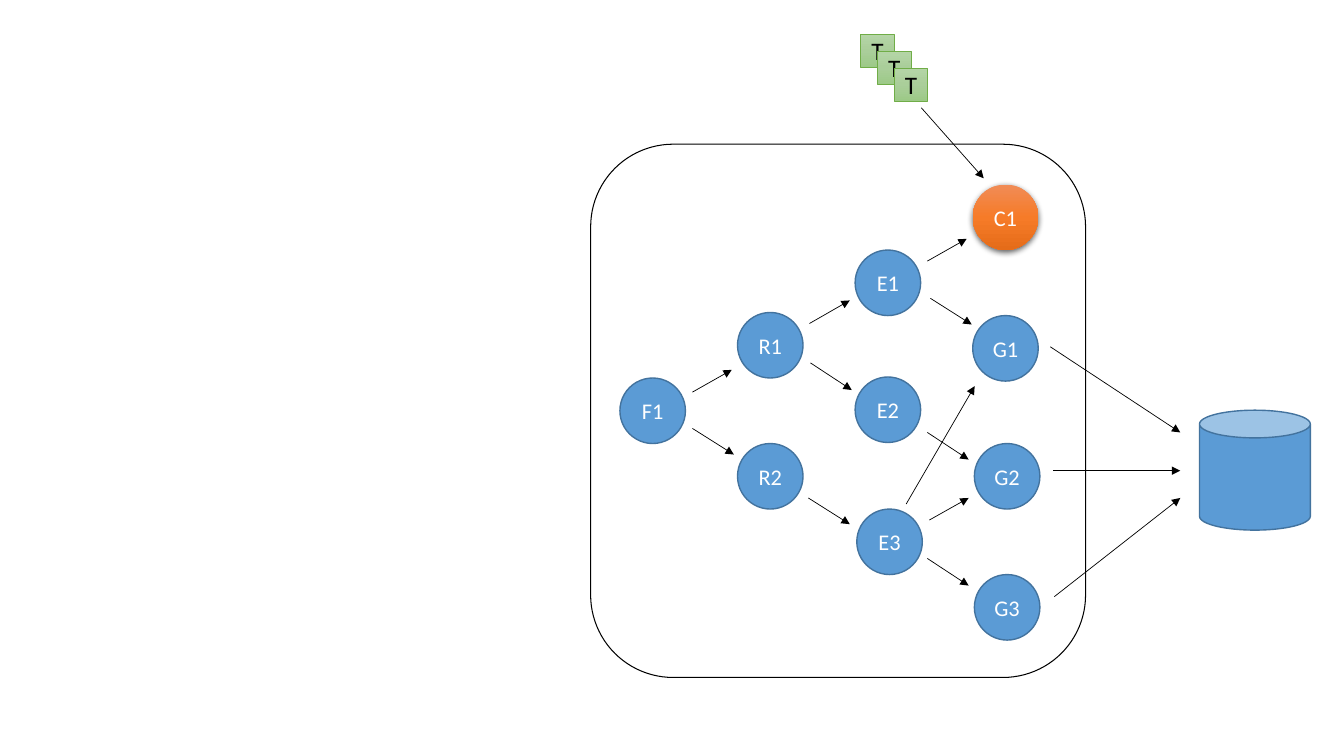
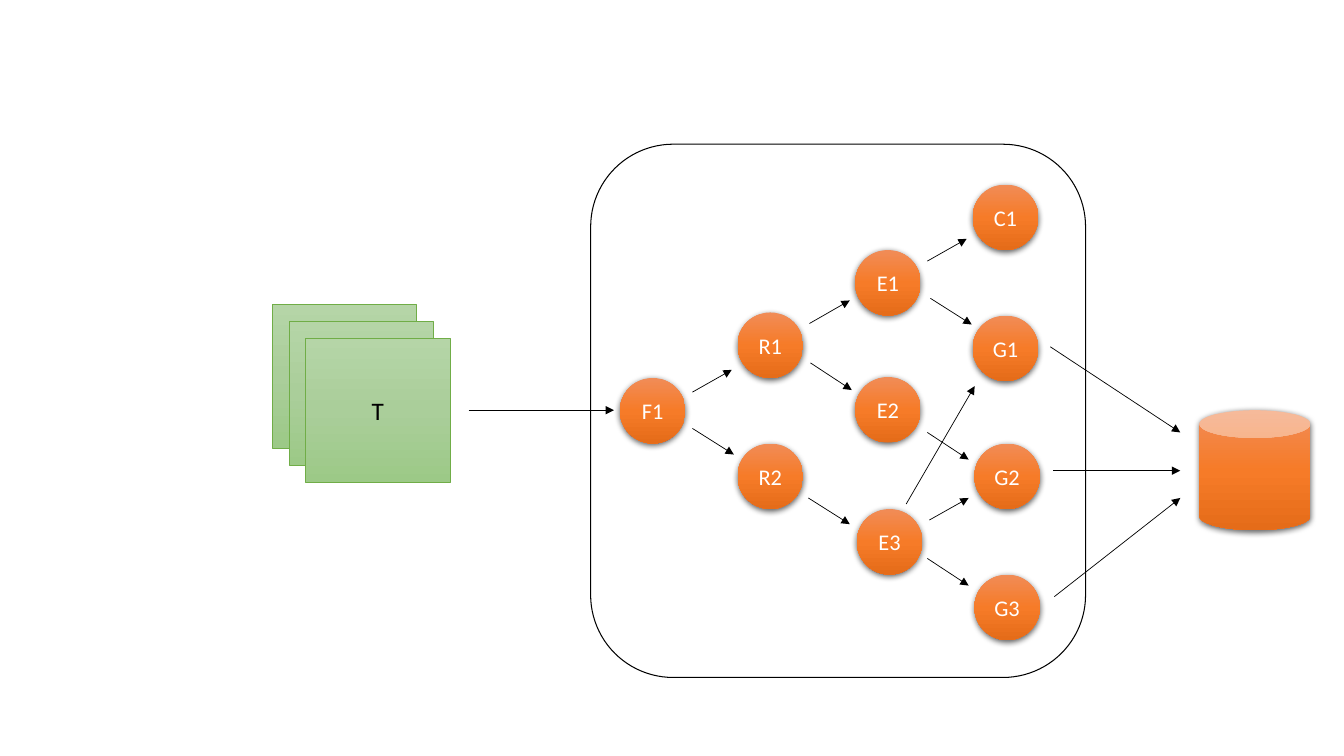
from copy import deepcopy
from dataclasses import dataclass

from lxml import etree
from pptx import Presentation
from pptx.dml.color import RGBColor
from pptx.enum import shapes, text
from pptx.oxml import ns
from pptx.util import Pt


@dataclass(frozen=True)
class Paint:
    fill: tuple = ()
    line: str = ""
    line_width: float = 0
    shadow: bool = False


@dataclass(frozen=True)
class Theme:
    font: str = "Calibri"
    black: str = "000000"
    white: str = "FFFFFF"
    node_size: float = 16
    task_size: float = 18
    arrow_width: float = 0.5
    idle: Paint = Paint(("5B9BD5",), "43739E", 1)
    active: Paint = Paint(("F18C57", "F67B28", "E56C19"), shadow=True)
    task: Paint = Paint(("B5D5A7", "AACE9A", "9CC987"), "70AD47", 0.5)
    frame: Paint = Paint(line="000000", line_width=0.75)


THEME = Theme()
SHAPE = shapes.MSO_SHAPE
SLIDE_SIZE = (960, 540)
FRAME_BOX = (421.9, 103, 353.5, 380.9)
STORE_BOX = (856.8, 293, 79.2, 85.7)
NODE_DIAMETER = 46.8
FIRST_COLUMN, COLUMN_STEP = 442.8, 84
TASK_COUNT, TASK_STEP = 3, 12

NODES = {
    "F1": (0, 270), "R1": (1, 223.2), "R2": (1, 316.8),
    "E1": (2, 178.6), "C1": (3, 131.8), "G1": (3, 225.4),
    "E3": (2, 363.6), "G2": (3, 316.8), "G3": (3, 410.4),
    "E2": (2, 269.3),
}
NUDGED_NODES = {"E3": 1.2, "G2": 1.2, "G3": 1.2}
FLOW_ARROWS = {
    ("F1", "R1"): (494.6, 280.1, 522.7, 264.2),
    ("F1", "R2"): (494.6, 306, 524.2, 324.7),
    ("R1", "E1"): (578.2, 231.1, 607, 214.6),
    ("E1", "C1"): (662.4, 186.5, 690.5, 170.6),
    ("R1", "E2"): (578.9, 259.2, 608.4, 278.6),
    ("E1", "G1"): (664.6, 213.1, 694.1, 231.8),
    ("E2", "G2"): (662.4, 308.9, 691.9, 328.3),
    ("E3", "G2"): (663.8, 371.5, 691.9, 355.7),
    ("R2", "E3"): (577.4, 355.7, 607, 374.4),
    ("E3", "G3"): (662.4, 398.9, 691.9, 418.3),
    ("G1", "store"): (750.2, 247.7, 843.1, 308.9),
    ("G2", "store"): (752.4, 336.2, 843.1, 336.2),
    ("G3", "store"): (753.1, 426.2, 843.1, 355.7),
    ("E3", "G1"): (647.3, 360, 696.2, 275.8),
}


def color(value):
    return RGBColor.from_string(value)


def set_fill(shape, colors):
    fill = shape.fill
    if not colors:
        fill.background()
    elif len(colors) == 1:
        fill.solid()
        fill.fore_color.rgb = color(colors[0])
    else:
        fill.gradient()
        fill.gradient_angle = 270
        stop_list = next(shape.element.iter(ns.qn("a:gsLst")))
        while len(stop_list) < len(colors):
            stop_list.append(deepcopy(stop_list[0]))
        for index, stop in enumerate(fill.gradient_stops):
            stop.position = index / (len(colors) - 1)
            stop.color.rgb = color(colors[index])


def set_line(line, value, width):
    if value:
        line.color.rgb = color(value)
        line.width = Pt(width)
    else:
        line.fill.background()


def add_shadow(shape):
    effects = shape.element.spPr.find(ns.qn("a:effectLst"))
    shadow = etree.SubElement(
        effects, ns.qn("a:outerShdw"), blurRad=str(Pt(4.5)), dist=str(Pt(1.5)),
        dir="5400000", algn="ctr", rotWithShape="0")
    shade = etree.SubElement(shadow, ns.qn("a:srgbClr"), val=THEME.black)
    etree.SubElement(shade, ns.qn("a:alpha"), val="63000")


def add_figure(slide, kind, box, paint):
    shape = slide.shapes.add_shape(kind, *map(Pt, box))
    shape.shadow.inherit = False
    set_fill(shape, paint.fill)
    set_line(shape.line, paint.line, paint.line_width)
    if paint.shadow:
        add_shadow(shape)
    return shape


def write_text(shape, content, *, size, value):
    frame = shape.text_frame
    frame.margin_left = frame.margin_right = Pt(0)
    frame.margin_top = frame.margin_bottom = Pt(0)
    frame.vertical_anchor = text.MSO_ANCHOR.MIDDLE
    paragraph = frame.paragraphs[0]
    paragraph.alignment = text.PP_ALIGN.CENTER
    run = paragraph.add_run()
    run.text = content
    run.font.name = THEME.font
    run.font.size = Pt(size)
    run.font.color.rgb = color(value)


def add_arrow(slide, ends):
    arrow = slide.shapes.add_connector(
        shapes.MSO_CONNECTOR.STRAIGHT, *map(Pt, ends))
    set_line(arrow.line, THEME.black, THEME.arrow_width)
    properties = arrow.element.spPr
    etree.SubElement(
        properties.find(ns.qn("a:ln")), ns.qn("a:tailEnd"), type="triangle")
    etree.SubElement(properties, ns.qn("a:effectLst"))


def add_node(slide, name, paint):
    column, top = NODES[name]
    left = FIRST_COLUMN + column * COLUMN_STEP + NUDGED_NODES.get(name, 0)
    node = add_figure(
        slide, SHAPE.OVAL, (left, top, NODE_DIAMETER, NODE_DIAMETER), paint)
    write_text(node, name, size=THEME.node_size, value=THEME.white)


def add_tasks(slide, left, top, side, labelled):
    for index in range(TASK_COUNT):
        offset = index * TASK_STEP
        task = add_figure(
            slide, SHAPE.RECTANGLE,
            (left + offset, top + offset, side, side), THEME.task)
        if index in labelled:
            write_text(task, "T", size=THEME.task_size, value=THEME.black)


def add_graph_slide(presentation, active):
    slide = presentation.slides.add_slide(presentation.slide_layouts[6])
    add_figure(slide, SHAPE.ROUNDED_RECTANGLE, FRAME_BOX, THEME.frame)
    for name in NODES:
        add_node(slide, name, THEME.active if name in active else THEME.idle)
    add_figure(slide, SHAPE.CAN, STORE_BOX,
               THEME.active if "store" in active else THEME.idle)
    for ends in FLOW_ARROWS.values():
        add_arrow(slide, ends)
    return slide


def main():
    presentation = Presentation()
    presentation.slide_width, presentation.slide_height = map(Pt, SLIDE_SIZE)

    single_node = add_graph_slide(presentation, {"C1"})
    add_tasks(single_node, 614.9, 24.5, 23.8, range(TASK_COUNT))
    add_arrow(single_node, (658.1, 77, 702.7, 127.4))

    whole_graph = add_graph_slide(presentation, {*NODES, "store"})
    add_tasks(whole_graph, 194.4, 217.4, 103, [TASK_COUNT - 1])
    add_arrow(whole_graph, (334.8, 293, 438.5, 293))

    presentation.save("out.pptx")


main()
